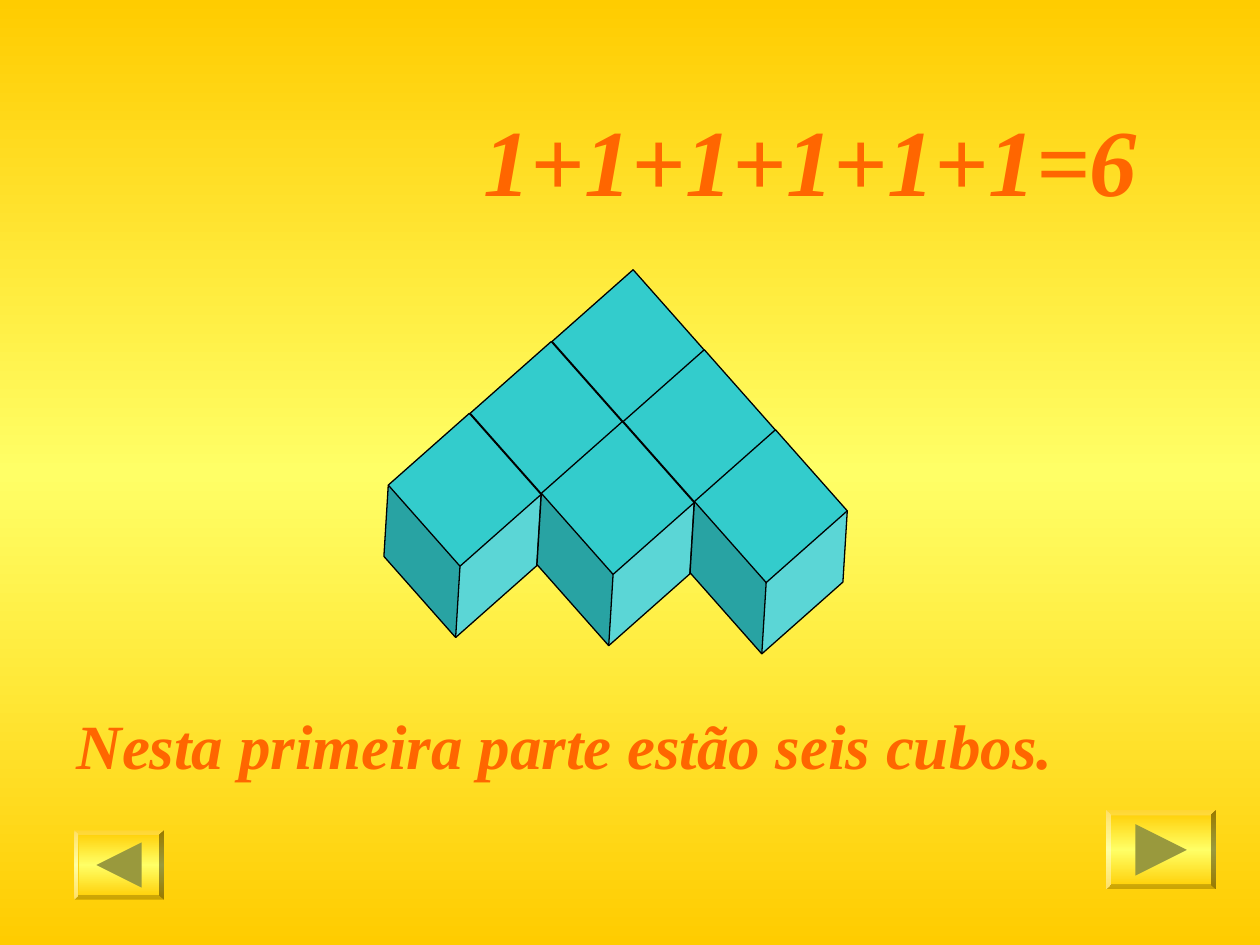
import copy

import pptx
import pptx.dml.color
import pptx.enum.shapes
import pptx.enum.text
import pptx.util

Inches = pptx.util.Inches
Pt = pptx.util.Pt
SHAPE = pptx.enum.shapes.MSO_SHAPE

COLORS = {
    "gold": "FFCC00",
    "lemon": "FFFF66",
    "cube": "33CCCC",
    "edge": "000000",
    "text": "FF6600",
    "arrow": "99993D",
}


def color(name):
    return pptx.dml.color.RGBColor.from_string(COLORS[name])


class Page:
    font = "Times New Roman"

    def __init__(self, deck):
        self.slide = deck.slides.add_slide(deck.slide_layouts[6])
        self.glow(self.slide.background.fill)

    def glow(self, fill):
        """Fill from gold through lemon and back, top to bottom."""
        fill.gradient()
        fill.gradient_angle = 270
        first = fill.gradient_stops[0]._gs
        first.addnext(copy.deepcopy(first))
        names = ("gold", "lemon", "gold")
        for i, (stop, name) in enumerate(zip(fill.gradient_stops, names)):
            stop.position = i / 2
            stop.color.rgb = color(name)

    def shape(self, kind, left, top, width, height, fill=None, turn=0, home=None):
        shapes = (home or self.slide).shapes
        item = shapes.add_shape(kind, Inches(left), Inches(top),
                                Inches(width), Inches(height))
        item.shadow.inherit = False
        item.rotation = turn
        item.line.fill.background()
        if fill:
            item.fill.solid()
            item.fill.fore_color.rgb = color(fill)
        else:
            self.glow(item.fill)
        return item

    def cube(self, home, left, top):
        item = self.shape(SHAPE.CUBE, left, top, 1.26, 1.26, "cube", 138.5, home)
        item.adjustments[0] = 0.318
        item.line.color.rgb = color("edge")
        item.line.width = Pt(0.75)

    def cubes(self, left, top, rows):
        """Stack a triangle of cubes, from the back row to the front."""
        home = self.slide.shapes.add_group_shape()
        for row in range(rows):
            for right in range(row + 1):
                down = row - right
                self.cube(home, left - 0.65 * down + 0.565 * right,
                          top + 0.57 * down + 0.635 * right)

    def text(self, words, left, top, width, height, size):
        box = self.slide.shapes.add_textbox(Inches(left), Inches(top),
                                            Inches(width), Inches(height))
        frame = box.text_frame
        frame.word_wrap = True
        frame.auto_size = pptx.enum.text.MSO_AUTO_SIZE.SHAPE_TO_FIT_TEXT
        run = frame.paragraphs[0].add_run()
        run.text = words
        run.font.name = self.font
        run.font.size = Pt(size)
        run.font.bold = run.font.italic = True
        run.font.color.rgb = color("text")

    def button(self, left, top, width, height, side, turn):
        """Draw a bevelled button with a centred arrow."""
        frame = self.shape(SHAPE.BEVEL, left, top, width, height)
        frame.adjustments[0] = 0.0625
        self.shape(SHAPE.ISOSCELES_TRIANGLE, left + (width - side) / 2,
                   top + (height - side) / 2, side, side, "arrow", turn)


def main():
    deck = pptx.Presentation()
    deck.slide_width = Inches(10)
    deck.slide_height = Inches(7.5)
    page = Page(deck)
    page.cubes(4.34, 2.4, 3)
    page.text("Nesta primeira parte estão seis cubos.", 0.51, 5.56, 8.74, 0.7, 36)
    page.text("1+1+1+1+1+1=6", 3.74, 0.76, 5.91, 1, 54)
    page.button(8.78, 6.43, 0.87, 0.63, 0.41, 90)
    page.button(0.59, 6.59, 0.71, 0.55, 0.36, 270)
    deck.save("out.pptx")


if __name__ == "__main__":
    main()
